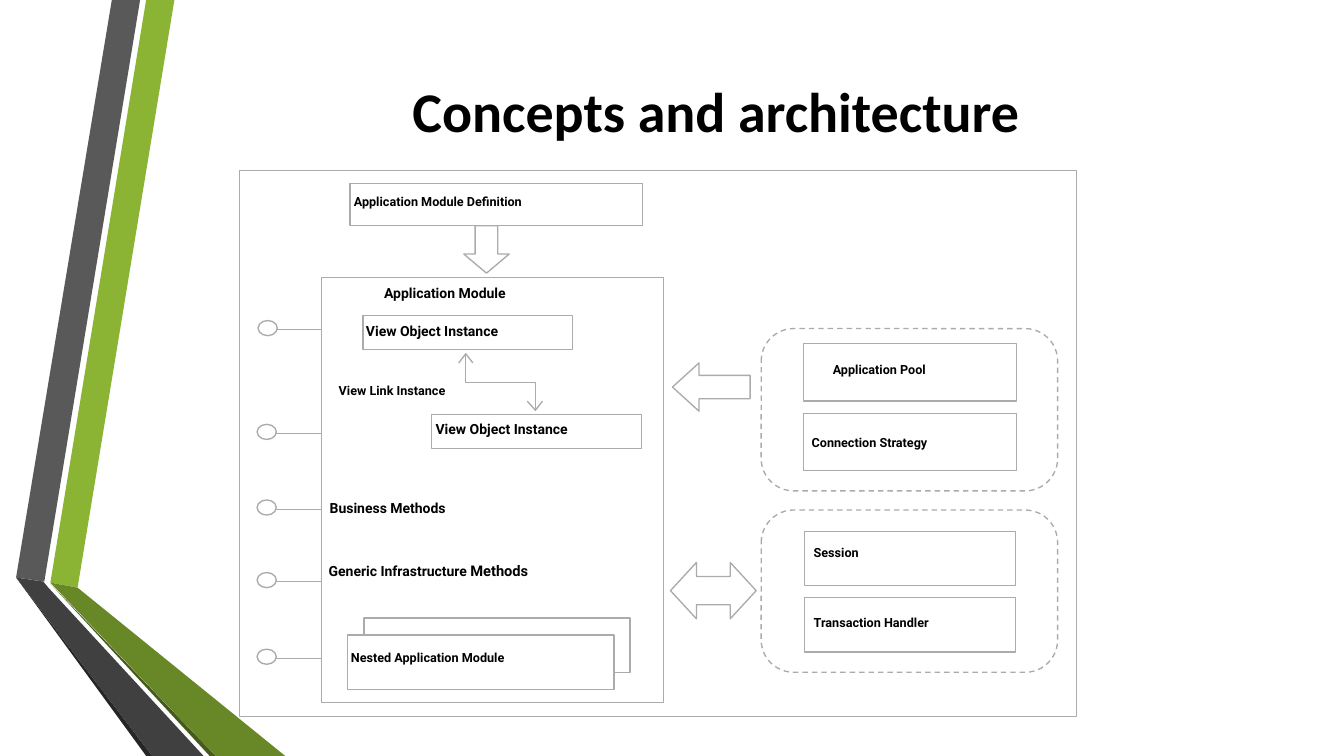
import pptx
import pptx.util
import pptx.dml.color
import pptx.enum.dml
import pptx.enum.shapes
import pptx.enum.text
import pptx.oxml.ns
import lxml.etree

Inches = pptx.util.Inches
Kind = pptx.enum.shapes.MSO_SHAPE
Align = pptx.enum.text.PP_ALIGN
Anchor = pptx.enum.text.MSO_ANCHOR

theme = {
    "white": "FFFFFF", "black": "000000", "line": "ABABAB",
    "green": "8BB434", "leaf": "688727", "moss": "465A1A",
    "gray": "595959", "dark": "404040", "coal": "262626",
    "title": 40, "small": 9, "body": 10, "large": 10.5,
    "thin": 0.47, "thick": 0.95,
    "head": "Calibri", "font": "Roboto",
}


def paint(shape, fill=None, line=None, width="thick"):
    shape.shadow.inherit = False
    if fill:
        shape.fill.solid()
        shape.fill.fore_color.rgb = pptx.dml.color.RGBColor.from_string(theme[fill])
    else:
        shape.fill.background()
    if line:
        shape.line.color.rgb = pptx.dml.color.RGBColor.from_string(theme[line])
        shape.line.width = pptx.util.Pt(theme[width])
    else:
        shape.line.fill.background()


def write(box, runs, font="font", align=Align.LEFT, anchor=Anchor.TOP, space=1.15):
    left, top, width, height = map(Inches, box)
    frame = slide.shapes.add_textbox(left, top, width, height).text_frame
    frame.word_wrap = True
    frame.vertical_anchor = anchor
    frame.margin_left = frame.margin_right = 0
    frame.margin_top = frame.margin_bottom = 0
    para = frame.paragraphs[0]
    para.alignment = align
    para.line_spacing = space
    for text, size in runs:
        run = para.add_run()
        run.text = text
        run.font.name = theme[font]
        run.font.size = pptx.util.Pt(theme[size])
        run.font.bold = True
        run.font.color.rgb = pptx.dml.color.RGBColor.from_string(theme["black"])


deck = pptx.Presentation()
deck.slide_width = Inches(13.33)
deck.slide_height = Inches(7.5)
slide = deck.slides.add_slide(deck.slide_layouts[6])

bands = [
    ("green", [(0.5, 5.78), (0.77, 5.83), (1.73, 0), (1.45, 0)]),
    ("gray", [(1.39, 0), (1.11, 0), (0.16, 5.73), (0.44, 5.77)]),
    ("coal", [(0.16, 5.73), (1.45, 7.5), (1.51, 7.5)]),
    ("moss", [(0.5, 5.79), (2.08, 7.5), (2.14, 7.5)]),
    ("leaf", [(0.5, 5.78), (2.14, 7.5), (2.83, 7.5), (0.77, 5.83)]),
    ("dark", [(2.02, 7.5), (0.48, 5.83), (0.43, 5.77), (0.16, 5.73), (1.51, 7.5)]),
]
for color, points in bands:
    spots = [(Inches(x), Inches(y)) for x, y in points]
    pen = slide.shapes.build_freeform(*spots[0])
    pen.add_line_segments(spots[1:], close=True)
    paint(pen.convert_to_shape(), color)

write((1.62, 0.5, 10.96, 1.19), [("Concepts and architecture", "title")],
      "head", Align.CENTER, Anchor.MIDDLE, 1)

frame = slide.shapes.add_shape(
    Kind.RECTANGLE, Inches(2.37), Inches(1.69), Inches(8.31), Inches(5.42))
paint(frame, None, "line", "thin")

for top in (3.26, 5.06):
    group = slide.shapes.add_shape(
        Kind.ROUNDED_RECTANGLE, Inches(7.55), Inches(top), Inches(2.94), Inches(1.61))
    group.adjustments[0] = 0.2
    paint(group, "white", "line")
    group.line.dash_style = pptx.enum.dml.MSO_LINE.DASH

boxes = [
    (3.47, 1.82, 2.9, 0.42),
    (3.19, 2.75, 3.39, 4.22),
    (3.6, 3.13, 2.08, 0.34),
    (4.28, 4.11, 2.08, 0.34),
    (3.61, 6.13, 2.64, 0.54),
    (3.45, 6.3, 2.64, 0.54),
    (7.97, 3.41, 2.11, 0.57),
    (7.97, 4.1, 2.11, 0.57),
    (7.98, 5.27, 2.09, 0.54),
    (7.98, 5.93, 2.09, 0.54),
]
for box in boxes:
    paint(slide.shapes.add_shape(Kind.RECTANGLE, *map(Inches, box)), "white", "line")

arrows = [
    (Kind.DOWN_ARROW, (4.6, 2.24, 0.45, 0.47), 0.5, 0.42),
    (Kind.LEFT_ARROW, (6.67, 3.6, 0.77, 0.48), 0.48, 0.55),
    (Kind.LEFT_RIGHT_ARROW, (6.65, 5.58, 0.85, 0.56), 0.5, 0.46),
]
for kind, box, shaft, tip in arrows:
    arrow = slide.shapes.add_shape(kind, *map(Inches, box))
    arrow.adjustments[0] = shaft
    arrow.adjustments[1] = tip
    paint(arrow, "white", "line")

for left, top in [(2.56, 3.18), (2.55, 4.21), (2.55, 4.96), (2.55, 5.68), (2.55, 6.44)]:
    ring = slide.shapes.add_shape(
        Kind.OVAL, Inches(left), Inches(top), Inches(0.19), Inches(0.15))
    paint(ring, "white", "line")
    level = Inches(top + 0.09)
    pin = slide.shapes.add_connector(
        pptx.enum.shapes.MSO_CONNECTOR.STRAIGHT,
        Inches(left + 0.19), level, Inches(3.19), level)
    pin.line.color.rgb = pptx.dml.color.RGBColor.from_string(theme["line"])
    pin.line.width = pptx.util.Pt(theme["thin"])
    lxml.etree.SubElement(pin._element.spPr, pptx.oxml.ns.qn("a:effectLst"))

links = [
    ("thin", [(4.62, 3.52), (4.62, 3.79), (5.31, 3.79), (5.31, 4.06)]),
    ("thick", [(4.69, 3.6), (4.62, 3.51), (4.55, 3.6)]),
    ("thick", [(5.38, 3.98), (5.31, 4.07), (5.23, 3.98)]),
]
for width, points in links:
    spots = [(Inches(x), Inches(y)) for x, y in points]
    pen = slide.shapes.build_freeform(*spots[0])
    pen.add_line_segments(spots[1:], close=False)
    paint(pen.convert_to_shape(), None, "line", width)

labels = [
    (3.51, 1.9, 3.76, [("Application Module Definition", "small")]),
    (3.81, 2.8, 2.45, [("Application Module", "body")]),
    (3.63, 3.17, 2.68, [("View Object Instance", "body")]),
    (3.36, 3.78, 2.37, [("View Link Instance", "small")]),
    (4.32, 4.15, 2.68, [("View Object Instance", "body")]),
    (3.27, 4.93, 2.36, [("Business Methods", "body")]),
    (3.26, 5.55, 2.78, [("Generic Infrastructure ", "body"), ("Methods", "large")]),
    (3.48, 6.43, 3.45, [("Nested Application Module", "small")]),
    (8.26, 3.57, 2.04, [("Application Pool", "small")]),
    (8.05, 4.29, 2.59, [("Connection Strategy", "small")]),
    (8.07, 5.38, 1, [("Session", "small")]),
    (8.07, 6.08, 2.54, [("Transaction Handler", "small")]),
]
for left, top, width, runs in labels:
    write((left, top, width, 0.3), runs)

deck.save("out.pptx")
